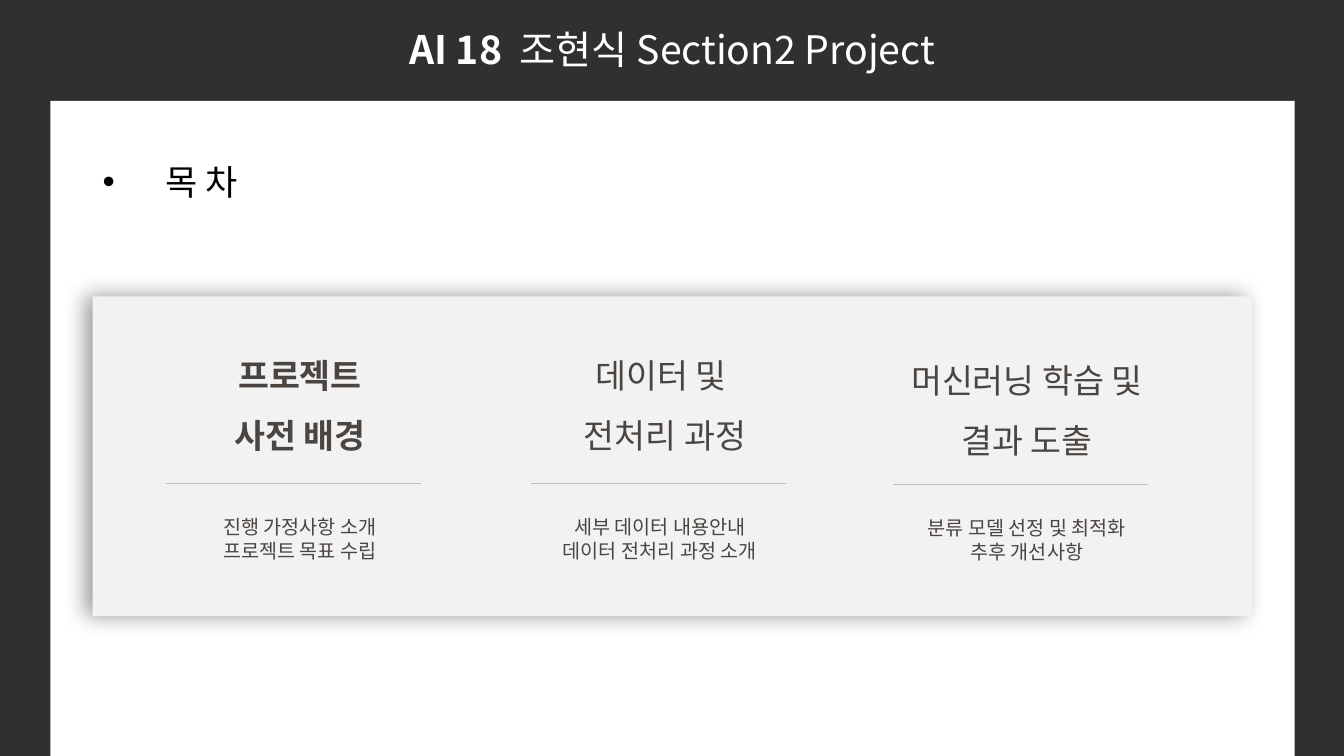
from dataclasses import dataclass
from lxml.etree import SubElement
from pptx import Presentation
from pptx.dml.color import RGBColor
from pptx.enum.shapes import MSO_CONNECTOR, MSO_SHAPE
from pptx.enum.text import MSO_ANCHOR, PP_ALIGN
from pptx.oxml.ns import qn
from pptx.util import Inches, Pt


@dataclass(frozen=True)
class Theme:
    font: str = "Noto Sans CJK KR"
    back: str = "303030"
    white: str = "FFFFFF"
    black: str = "000000"
    panel: str = "F2F2F2"
    ink: str = "4B4541"
    rule: str = "BFBFBF"
    banner: int = 28
    title: int = 25
    head: int = 24
    body: int = 14


class Deck:
    def __init__(self, theme):
        self.theme = theme
        self.prs = Presentation()
        self.prs.slide_width = Inches(13.33)
        self.prs.slide_height = Inches(7.5)
        self.slide = self.prs.slides.add_slide(self.prs.slide_layouts[6])
        fill = self.slide.background.fill
        fill.solid()
        fill.fore_color.rgb = RGBColor.from_string(theme.back)

    def rect(self, box, color):
        shape = self.slide.shapes.add_shape(MSO_SHAPE.RECTANGLE, *map(Inches, box))
        shape.shadow.inherit = False
        shape.fill.solid()
        shape.fill.fore_color.rgb = RGBColor.from_string(color)
        shape.line.fill.background()
        return shape

    def shade(self, shape):
        """Cast a soft shadow to the left."""
        effects = shape.element.spPr.find(qn("a:effectLst"))
        shadow = SubElement(effects, qn("a:outerShdw"), blurRad=str(Pt(16)),
                            dist=str(Pt(5)), dir="10800000", algn="r", rotWithShape="0")
        color = SubElement(shadow, qn("a:srgbClr"), val=self.theme.black)
        SubElement(color, qn("a:alpha"), val="40000")

    def text(self, box, lines, size, color, align=PP_ALIGN.CENTER,
             spacing=None, anchor=MSO_ANCHOR.TOP, bullet=None):
        """Each line is a list of (words, bold) runs."""
        frame = self.slide.shapes.add_textbox(*map(Inches, box)).text_frame
        frame.word_wrap = True
        frame.vertical_anchor = anchor
        for i, runs in enumerate(lines):
            para = frame.add_paragraph() if i else frame.paragraphs[0]
            para.alignment = align
            if spacing:
                para.line_spacing = spacing
            if bullet:
                props = para._p.get_or_add_pPr()
                props.set("marL", str(Inches(0.62)))
                props.set("indent", str(Inches(-0.62)))
                SubElement(props, qn("a:buFont"), typeface="Arial")
                SubElement(props, qn("a:buChar"), char=bullet)
            for words, bold in runs:
                run = para.add_run()
                run.text = words
                font = run.font
                font.name = self.theme.font
                font.size = Pt(size)
                font.bold = bold
                font.color.rgb = RGBColor.from_string(color)
                SubElement(run._r.get_or_add_rPr(), qn("a:ea"), typeface=self.theme.font)

    def line(self, left, top, width):
        rule = self.slide.shapes.add_connector(
            MSO_CONNECTOR.STRAIGHT, *map(Inches, (left, top, left + width, top)))
        rule.line.color.rgb = RGBColor.from_string(self.theme.rule)
        rule.line.width = Pt(0.5)
        SubElement(rule.element.spPr, qn("a:effectLst"))

    def topic(self, left, shift, top, drop, head, body, bold):
        """Heading, rule and details of one column."""
        ink = self.theme.ink
        self.text((left, top, 2.65, 1.31), [[(t, bold)] for t in head],
                  self.theme.head, ink, spacing=1.5)
        self.line(left, 4.8 + drop, 2.53)
        self.text((left + shift, 5.06 + drop, 2.65, 0.57), [[(t, False)] for t in body],
                  self.theme.body, ink)


def main():
    theme = Theme()
    deck = Deck(theme)

    # Banner and page
    deck.text((2.86, -0.03, 7.61, 0.81),
              [[("AI 18  ", True), ("조현식 Section2 Project", False)]],
              theme.banner, theme.white, spacing=1.5)
    deck.rect((0.5, 1, 12.34, 6.5), theme.white)

    # Title
    deck.text((0.92, 1.1, 11.5, 1.45), [[("목 차", False)]], theme.title, theme.black,
              PP_ALIGN.LEFT, 0.9, MSO_ANCHOR.MIDDLE, "•")

    # Contents panel
    deck.shade(deck.rect((0.92, 2.94, 11.5, 3.17), theme.panel))
    topics = [
        (1.65, 0, 3.27, 0, ("프로젝트", "사전 배경"),
         ("진행 가정사항 소개", "프로젝트 목표 수립"), True),
        (5.27, -0.05, 3.27, 0, ("데이터 및 ", "전처리 과정"),
         ("세부 데이터 내용안내", "데이터 전처리 과정 소개"), False),
        (8.86, 0, 3.32, 0.01, ("머신러닝 학습 및", "결과 도출"),
         ("분류 모델 선정 및 최적화", "추후 개선사항"), False),
    ]
    for topic in topics:
        deck.topic(*topic)

    deck.prs.save("out.pptx")


if __name__ == "__main__":
    main()
